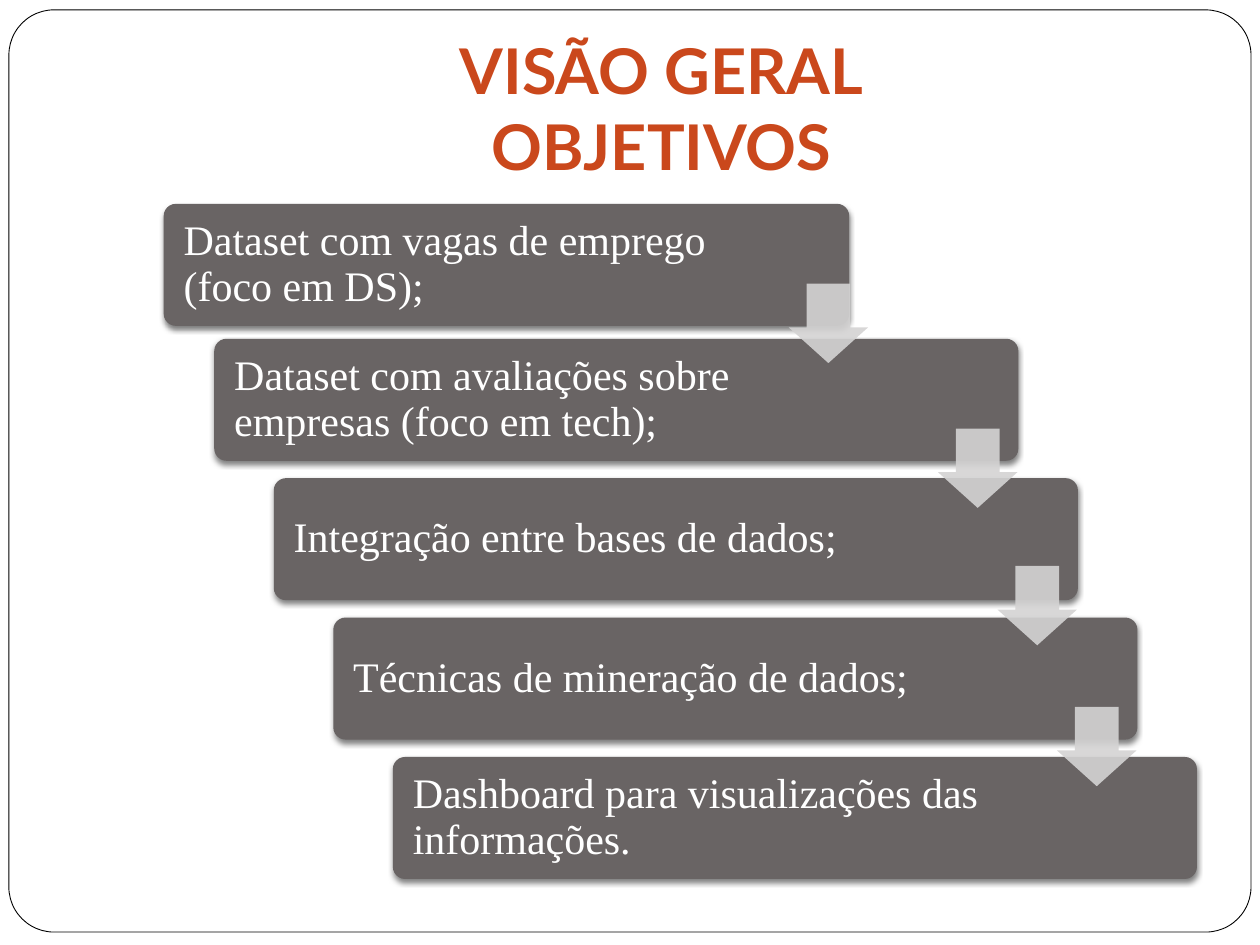
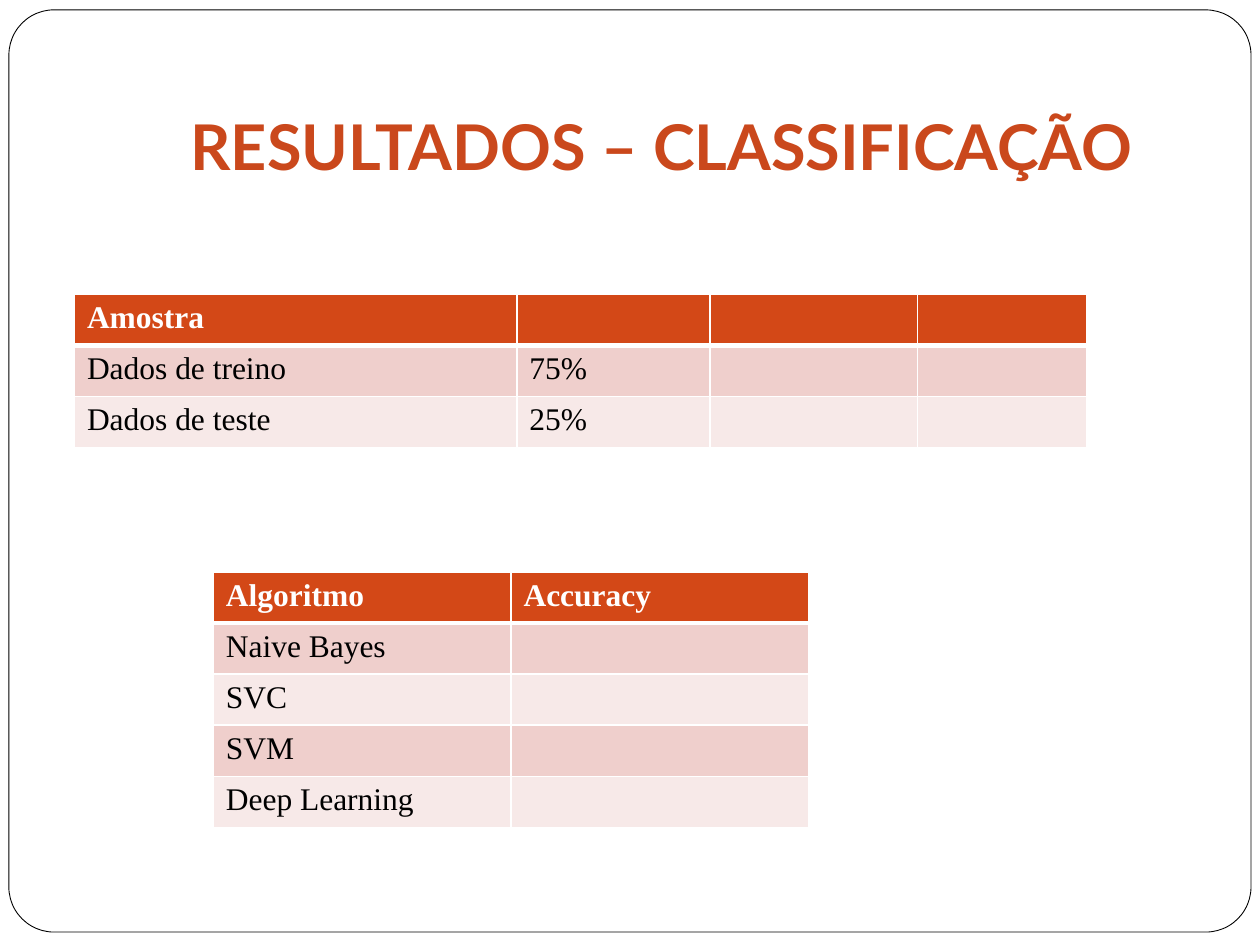
from lxml import etree
from pptx import Presentation
from pptx.dml.color import RGBColor
from pptx.enum.shapes import MSO_SHAPE
from pptx.enum.text import MSO_ANCHOR, MSO_AUTO_SIZE, PP_ALIGN
from pptx.oxml.ns import qn
from pptx.util import Cm, Pt

ROUNDED = MSO_SHAPE.ROUNDED_RECTANGLE
DOWN_ARROW = MSO_SHAPE.DOWN_ARROW
MIDDLE, BOTTOM = MSO_ANCHOR.MIDDLE, MSO_ANCHOR.BOTTOM
LEFT, CENTER = PP_ALIGN.LEFT, PP_ALIGN.CENTER
NO_AUTOFIT = MSO_AUTO_SIZE.NONE

COLORS = {
    "white": "FFFFFF",
    "black": "000000",
    "title": "CA481C",
    "step": "696464",
    "arrow": "D4D3D3",
    "header": "D34817",
    "odd_row": "EFCFCC",
    "even_row": "F7E9E8",
}
TITLE_FONT = "Lato"
BODY_FONT = "Times New Roman"

STEP_HEIGHT = 2.46
ARROW_SIZE = 1.6
ROW_HEIGHT = 1.03

STEPS = [
    ("Dataset com vagas de emprego (foco em DS);", (3.3, 4.11, 13.82), 2.72),
    ("Dataset com avaliações sobre empresas (foco em tech);", (4.32, 6.83, 16.21), 3.15),
    ("Integração entre bases de dados;", (5.52, 9.64, 16.21), 3.15),
    ("Técnicas de mineração de dados;", (6.72, 12.45, 16.21), 3.15),
    ("Dashboard para visualizações das informações.", (7.92, 15.26, 16.21), 3.15),
]
ARROWS = [(15.9, 5.72), (18.91, 8.64), (20.11, 11.41), (21.31, 14.25)]

SAMPLE_ROWS = [
    ("Amostra", "", "", ""),
    ("Dados de treino", "75%", "", ""),
    ("Dados de teste", "25%", "", ""),
]
ALGORITHM_ROWS = [
    ("Algoritmo", "Accuracy"),
    ("Naive Bayes", ""),
    ("SVC", ""),
    ("SVM", ""),
    ("Deep Learning", ""),
]


def rgb(name):
    return RGBColor.from_string(COLORS[name])


def style_paragraph(paragraph, font_name, size, color, bold=False):
    font = paragraph.font
    font.name, font.size, font.bold = font_name, Pt(size), bold
    font.color.rgb = rgb(color)


def set_insets(frame, left, top, right, bottom):
    frame.margin_left, frame.margin_top = Cm(left), Cm(top)
    frame.margin_right, frame.margin_bottom = Cm(right), Cm(bottom)


def add_filled(slide, preset, box, color, adjustments):
    shape = slide.shapes.add_shape(preset, *(Cm(length) for length in box))
    for index, value in enumerate(adjustments):
        shape.adjustments[index] = value
    shape.fill.solid()
    shape.fill.fore_color.rgb = rgb(color)
    shape.line.fill.background()
    shape.shadow.inherit = False
    return shape


def add_color(parent, color, alpha=None):
    node = etree.SubElement(parent, qn("a:srgbClr"), val=COLORS[color])
    if alpha:
        etree.SubElement(node, qn("a:alpha"), val=str(alpha * 1000))


def add_framed_slide(prs, title):
    slide = prs.slides.add_slide(prs.slide_layouts[5])
    border = add_filled(slide, ROUNDED, (0.18, 0.2, 25.04, 18.59), "white", [0.049])
    border.line.color.rgb = rgb("black")
    border.line.width = Pt(0.5)
    slide.shapes.element.insert(2, border.element)

    heading = slide.shapes.title
    heading.left, heading.top = Cm(2.54), Cm(0.76)
    heading.width, heading.height = Cm(21.59), Cm(3.18)
    frame = heading.text_frame
    frame.text = title
    frame.word_wrap = True
    frame.auto_size = NO_AUTOFIT
    frame.vertical_anchor = BOTTOM
    set_insets(frame, 0.25, 0.13, 0.25, 0.25)
    frame.paragraphs[0].alignment = CENTER
    style_paragraph(frame.paragraphs[0], TITLE_FONT, 36, "title", True)
    return slide


def add_step(slide, text, position, right_inset):
    left, top, width = position
    step = add_filled(slide, ROUNDED, (left, top, width, STEP_HEIGHT), "step", [0.1])
    effects = step.element.spPr.find(qn("a:effectLst"))
    shadow = etree.SubElement(
        effects, qn("a:outerShdw"), blurRad=str(Pt(3)), dist=str(Pt(2)),
        dir="5400000", rotWithShape="0")
    add_color(shadow, "black", 50)

    frame = step.text_frame
    frame.text = text
    frame.word_wrap = True
    frame.vertical_anchor = MIDDLE
    set_insets(frame, 0.33, 0.25, right_inset, 0.25)
    paragraph = frame.paragraphs[0]
    paragraph.alignment = LEFT
    paragraph.line_spacing = 0.9
    style_paragraph(paragraph, BODY_FONT, 24, "white")


def add_step_arrow(slide, left, top):
    arrow = add_filled(slide, DOWN_ARROW, (left, top, ARROW_SIZE, ARROW_SIZE),
                       "arrow", [0.45, 0.55])
    arrow.adjustments[0], arrow.adjustments[1] = 0.55, 0.45
    color = arrow.element.spPr.find(qn("a:solidFill"))[0]
    etree.SubElement(color, qn("a:alpha"), val="90000")


def set_borders(cell, row_index):
    top = 3 if row_index == 1 else 1
    bottom = 3 if row_index == 0 else 1
    properties = cell._tc.get_or_add_tcPr()
    for side, width in (("L", 1), ("R", 1), ("T", top), ("B", bottom)):
        border = etree.SubElement(properties, qn(f"a:ln{side}"), w=str(Pt(width)))
        add_color(etree.SubElement(border, qn("a:solidFill")), "white")


def add_results_table(slide, left, top, column_widths, rows):
    table = slide.shapes.add_table(
        len(rows), len(column_widths), Cm(left), Cm(top),
        Cm(sum(column_widths)), Cm(ROW_HEIGHT * len(rows))).table
    for column, width in zip(table.columns, column_widths):
        column.width = Cm(width)
    for row_index, texts in enumerate(rows):
        is_header = row_index == 0
        row_color = "header" if is_header else "odd_row" if row_index % 2 else "even_row"
        table.rows[row_index].height = Cm(ROW_HEIGHT)
        for column_index, text in enumerate(texts):
            cell = table.cell(row_index, column_index)
            cell.text = text
            set_borders(cell, row_index)
            cell.fill.solid()
            cell.fill.fore_color.rgb = rgb(row_color)
            style_paragraph(cell.text_frame.paragraphs[0], BODY_FONT, 18,
                            "white" if is_header else "black", is_header)


def build_objectives(prs):
    slide = add_framed_slide(prs, "VISÃO GERAL\vOBJETIVOS")
    for text, position, right_inset in STEPS:
        add_step(slide, text, position, right_inset)
    for left, top in ARROWS:
        add_step_arrow(slide, left, top)


def build_results(prs):
    slide = add_framed_slide(prs, "RESULTADOS – CLASSIFICAÇÃO")
    add_results_table(slide, 1.5, 5.93, [8.92, 3.89, 4.19, 3.4], SAMPLE_ROWS)
    add_results_table(slide, 4.3, 11.53, [6, 6], ALGORITHM_ROWS)


def main():
    prs = Presentation()
    prs.slide_width, prs.slide_height = Cm(25.4), Cm(19.05)
    build_objectives(prs)
    build_results(prs)
    prs.save("out.pptx")


if __name__ == "__main__":
    main()
